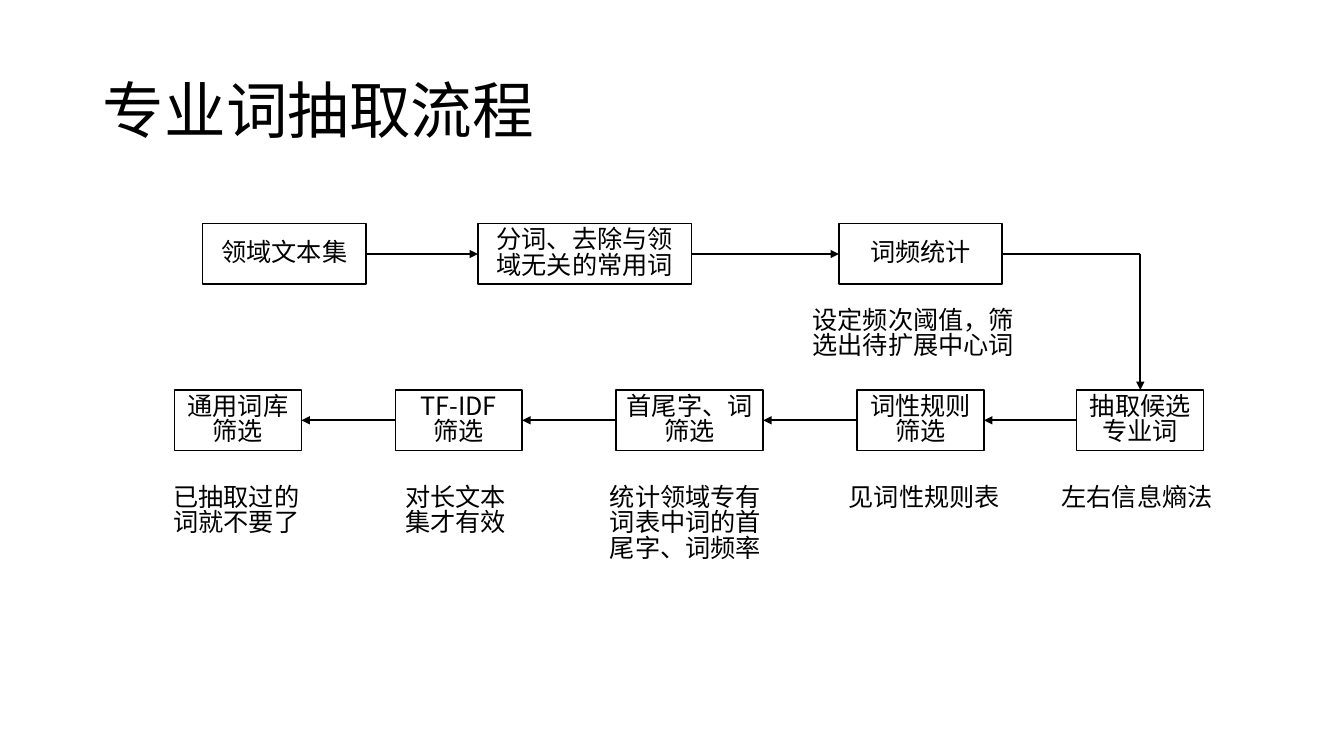
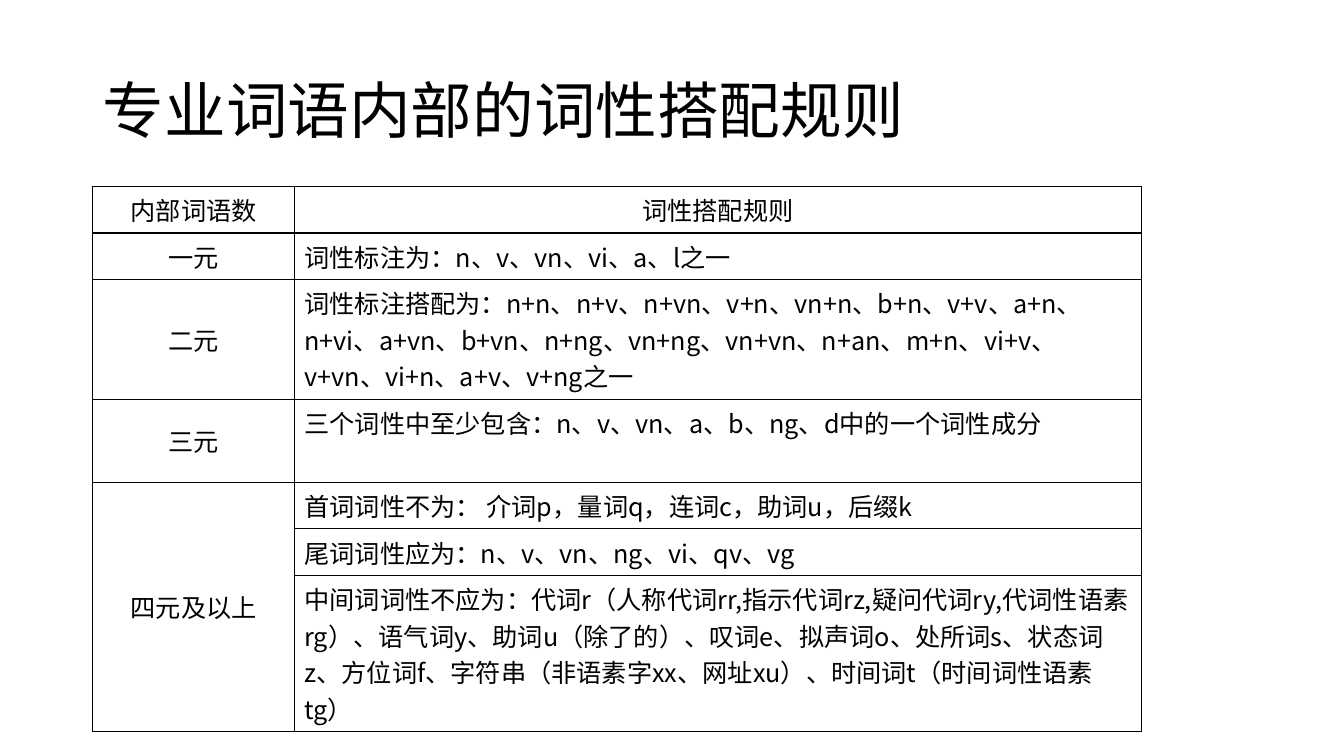
"""Build two slides on extracting domain terms: a flow chart and a rule table."""
from dataclasses import dataclass
from itertools import pairwise

from lxml import etree
from pptx import Presentation
from pptx import util as u
from pptx.dml.color import RGBColor
from pptx.enum import shapes, text
from pptx.oxml import ns


@dataclass(frozen=True)
class Theme:
    font: str = "Noto Sans CJK SC"
    ink: RGBColor = RGBColor(0, 0, 0)
    paper: RGBColor = RGBColor(255, 255, 255)
    title_size: int = 44
    body_size: int = 18
    title_spacing: float = 0.9
    flow_spacing: float = 0.83
    outline: float = 1
    arrow: float = 1.5


@dataclass(frozen=True)
class Step:
    left: float
    width: float
    label: str


@dataclass(frozen=True)
class Note:
    left: float
    top: float
    width: float
    height: float
    label: str


@dataclass(frozen=True)
class Rule:
    count: str
    pattern: str


THEME = Theme()
LEFT, CENTER = text.PP_ALIGN.LEFT, text.PP_ALIGN.CENTER
TOP_SITE, LEFT_SITE, RIGHT_SITE = 0, 1, 3
STEP_HEIGHT = 0.6
UPPER_TOP, LOWER_TOP, NOTE_TOP = 2.22, 3.87, 4.78

UPPER_STEPS = [
    Step(2.01, 1.62, "领域文本集"),
    Step(4.74, 2.12, "分词、去除与领域无关的常用词"),
    Step(8.32, 1.62, "词频统计"),
]
LOWER_STEPS = [
    Step(10.68, 1.26, "抽取候选专业词"),
    Step(8.5, 1.26, "词性规则筛选"),
    Step(6.11, 1.46, "首尾字、词筛选"),
    Step(3.92, 1.26, "TF-IDF\n筛选"),
    Step(1.73, 1.26, "通用词库\n筛选"),
]
NOTES = [
    Note(7.96, 3.02, 2.33, 0.71, "设定频次阈值，筛选出待扩展中心词"),
    Note(10.43, NOTE_TOP, 1.77, 0.4, "左右信息熵法"),
    Note(8.32, NOTE_TOP, 1.77, 0.4, "见词性规则表"),
    Note(5.95, NOTE_TOP, 1.77, 1.01, "统计领域专有词表中词的首尾字、词频率"),
    Note(3.92, NOTE_TOP, 1.32, 0.71, "对长文本集才有效"),
    Note(1.62, NOTE_TOP, 1.48, 0.71, "已抽取过的词就不要了"),
]
RULES = [
    Rule("内部词语数", "词性搭配规则"),
    Rule("一元", "词性标注为：n、v、vn、vi、a、l之一"),
    Rule("二元", "词性标注搭配为：n+n、n+v、n+vn、v+n、vn+n、b+n、v+v、a+n、n+vi、"
         "a+vn、b+vn、n+ng、vn+ng、vn+vn、n+an、m+n、vi+v、v+vn、vi+n、a+v、v+ng之一"),
    Rule("三元", "三个词性中至少包含：n、v、vn、a、b、ng、d中的一个词性成分"),
    Rule("四元及以上", "首词词性不为： 介词p，量词q，连词c，助词u，后缀k"),
    Rule("", "尾词词性应为：n、v、vn、ng、vi、qv、vg"),
    Rule("", "中间词词性不应为：代词r（人称代词rr,指示代词rz,疑问代词ry,代词性语素rg）、"
         "语气词y、助词u（除了的）、叹词e、拟声词o、处所词s、状态词z、方位词f、"
         "字符串（非语素字xx、网址xu）、时间词t（时间词性语素tg）"),
]
COLUMN_WIDTHS = (2, 8.4)
ROW_HEIGHT = 0.41


def write(frame, label: str, align, size: int = THEME.body_size, spacing: float = 1.0) -> None:
    frame.text = label
    frame.word_wrap = True
    for para in frame.paragraphs:
        para.alignment = align
        para.line_spacing = spacing
        for span in para.runs:
            span.font.name = THEME.font
            span.font.size = u.Pt(size)
            span.font.color.rgb = THEME.ink
            east = etree.SubElement(span.font._element, ns.qn("a:ea"))
            east.set("typeface", THEME.font)


def add_page(deck, heading: str):
    page = deck.slides.add_slide(deck.slide_layouts[5])
    title = page.shapes.title
    title.left, title.top = u.Inches(0.92), u.Inches(0.4)
    title.width, title.height = u.Inches(11.5), u.Inches(1.45)
    write(title.text_frame, heading, LEFT, THEME.title_size, THEME.title_spacing)
    title.text_frame.vertical_anchor = text.MSO_ANCHOR.MIDDLE
    title.text_frame.auto_size = text.MSO_AUTO_SIZE.NONE
    return page


def add_step(page, step: Step, top: float):
    box = page.shapes.add_shape(
        shapes.MSO_SHAPE.RECTANGLE, u.Inches(step.left), u.Inches(top),
        u.Inches(step.width), u.Inches(STEP_HEIGHT))
    box.shadow.inherit = False
    box.fill.solid()
    box.fill.fore_color.rgb = THEME.paper
    box.line.color.rgb = THEME.ink
    box.line.width = u.Pt(THEME.outline)
    write(box.text_frame, step.label, CENTER, spacing=THEME.flow_spacing)
    box.text_frame.vertical_anchor = text.MSO_ANCHOR.MIDDLE
    return box


def add_note(page, note: Note) -> None:
    box = page.shapes.add_textbox(
        u.Inches(note.left), u.Inches(note.top), u.Inches(note.width), u.Inches(note.height))
    write(box.text_frame, note.label, LEFT, spacing=THEME.flow_spacing)
    box.text_frame.auto_size = text.MSO_AUTO_SIZE.SHAPE_TO_FIT_TEXT


def add_line(page, start: tuple[int, int], end: tuple[int, int], arrow: bool = True):
    line = page.shapes.add_connector(shapes.MSO_CONNECTOR.STRAIGHT, *start, *end)
    line.line.color.rgb = THEME.ink
    line.line.width = u.Pt(THEME.arrow)
    if arrow:
        tip = etree.SubElement(line.line._get_or_add_ln(), ns.qn("a:tailEnd"))
        tip.set("type", "triangle")
    etree.SubElement(line._element.spPr, ns.qn("a:effectLst"))
    return line


def link_steps(page, boxes: list, from_site: int, to_site: int) -> None:
    for source, target in pairwise(boxes):
        line = add_line(page, (0, 0), (0, 0))
        line.begin_connect(source, from_site)
        line.end_connect(target, to_site)


def link_rows(page, source, target) -> None:
    middle = source.top + source.height // 2
    corner = (target.left + target.width // 2, middle)
    add_line(page, corner, (corner[0], target.top)).end_connect(target, TOP_SITE)
    level = add_line(page, (source.left + source.width, middle), corner, arrow=False)
    level.begin_connect(source, RIGHT_SITE)


def add_borders(cell) -> None:
    properties = cell._tc.get_or_add_tcPr()
    for index, side in enumerate(("lnL", "lnR", "lnT", "lnB")):
        border = etree.Element(ns.qn(f"a:{side}"), w=str(u.Pt(THEME.outline)))
        fill = etree.SubElement(border, ns.qn("a:solidFill"))
        etree.SubElement(fill, ns.qn("a:srgbClr"), val=str(THEME.ink))
        properties.insert(index, border)


def add_rule_table(page) -> None:
    table = page.shapes.add_table(
        len(RULES), len(COLUMN_WIDTHS), u.Inches(0.92), u.Inches(1.85),
        u.Inches(sum(COLUMN_WIDTHS)), u.Inches(ROW_HEIGHT * len(RULES))).table
    table.first_row = table.horz_banding = False
    for column, width in zip(table.columns, COLUMN_WIDTHS):
        column.width = u.Inches(width)
    for row, rule in enumerate(RULES):
        table.rows[row].height = u.Inches(ROW_HEIGHT)
        for column, label in enumerate((rule.count, rule.pattern)):
            cell = table.cell(row, column)
            cell.fill.solid()
            cell.fill.fore_color.rgb = THEME.paper
            add_borders(cell)
            write(cell.text_frame, label, CENTER if row == 0 or column == 0 else LEFT)
            if column == 0:
                cell.vertical_anchor = text.MSO_ANCHOR.MIDDLE
    table.cell(4, 0).merge(table.cell(len(RULES) - 1, 0))


def build_flow(deck) -> None:
    page = add_page(deck, "专业词抽取流程")
    upper = [add_step(page, step, UPPER_TOP) for step in UPPER_STEPS]
    lower = [add_step(page, step, LOWER_TOP) for step in LOWER_STEPS]
    link_steps(page, upper, RIGHT_SITE, LEFT_SITE)
    link_rows(page, upper[-1], lower[0])
    link_steps(page, lower, LEFT_SITE, RIGHT_SITE)
    for note in NOTES:
        add_note(page, note)


def build_rules(deck) -> None:
    page = add_page(deck, "专业词语内部的词性搭配规则")
    add_rule_table(page)


def main() -> None:
    deck = Presentation()
    deck.slide_width, deck.slide_height = u.Inches(13.33), u.Inches(7.5)
    build_flow(deck)
    build_rules(deck)
    deck.save("out.pptx")


main()
